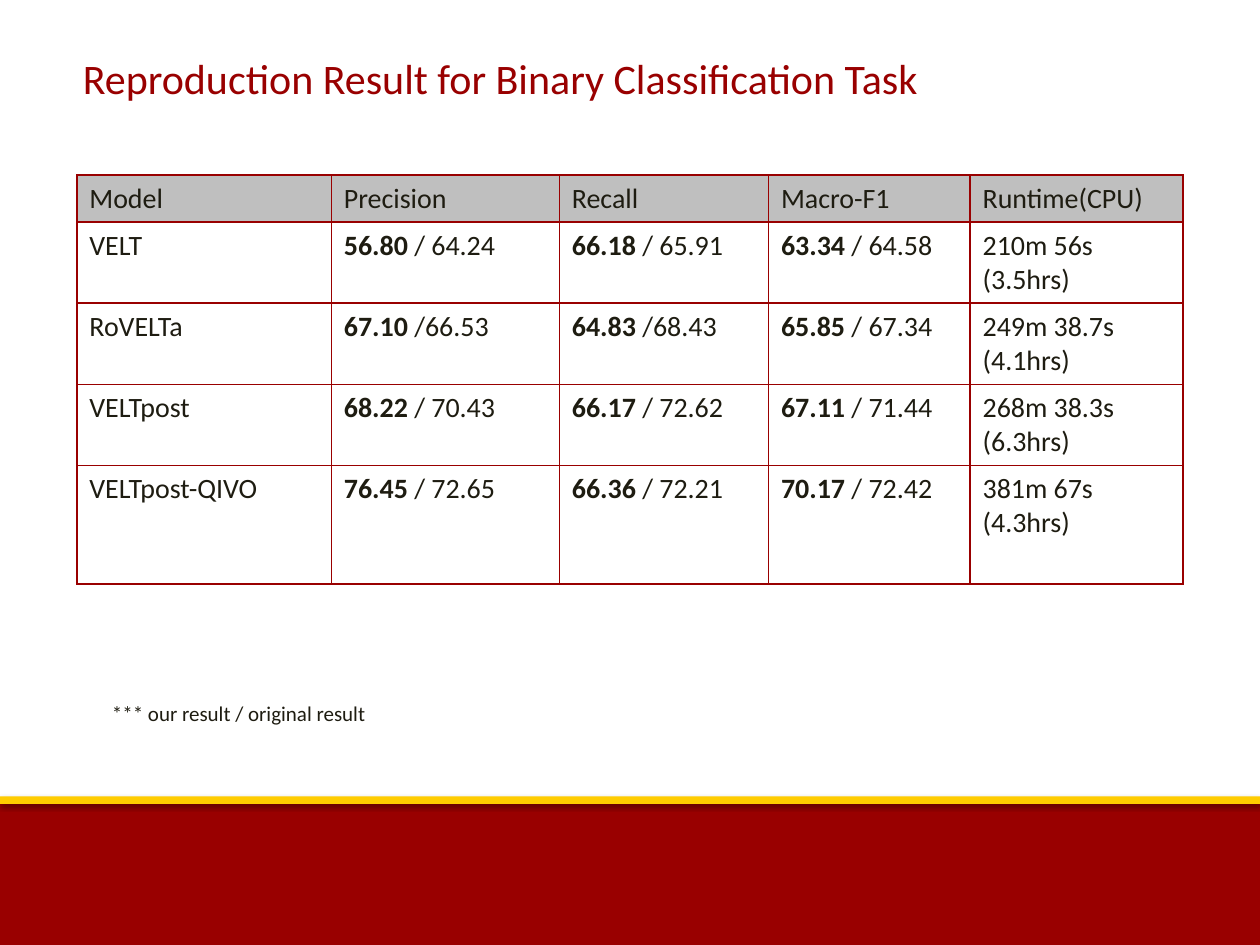
import pptx
import pptx.dml.color
import pptx.enum.shapes
import pptx.enum.text
import pptx.oxml
import pptx.oxml.ns
import pptx.util

TITLE = "Reproduction Result for Binary Classification Task"
NOTE = "*** our result / original result"
HEADER = ["Model", "Precision", "Recall", "Macro-F1", "Runtime(CPU)"]
# Each score is (our result, original result); our result is bold.
ROWS = [
    ["VELT", ("56.80", " / 64.24"), ("66.18", " / 65.91"), ("63.34", " / 64.58"), "210m 56s (3.5hrs)"],
    ["RoVELTa", ("67.10", " /66.53"), ("64.83", " /68.43"), ("65.85", " / 67.34"), "249m 38.7s (4.1hrs)"],
    ["VELTpost", ("68.22", " / 70.43"), ("66.17", " / 72.62"), ("67.11", " / 71.44"), "268m 38.3s (6.3hrs)"],
    ["VELTpost-QIVO", ("76.45", " / 72.65"), ("66.36", " / 72.21"), ("70.17", " / 72.42"), "381m 67s (4.3hrs)"],
]
COL_WIDTHS = [2.02, 1.81, 1.66, 1.6, 1.69]
ROW_HEIGHTS = [0.37, 0.64, 0.64, 0.64, 0.94]
TABLE_LEFT, TABLE_TOP = 0.61, 1.39
SLIDE_W, SLIDE_H = 10, 7.5
FOOTER_TOP, STRIPE_TOP, STRIPE_H = 6.35, 6.32, 0.06

THEME = {
    "font": "Calibri", "title": 24, "body": 16, "note": 12,
    "red": "990000", "gold": "FFCC00", "ink": "1E1C11", "header": "BFBFBF",
}

inch = pptx.util.Inches
NS = pptx.oxml.ns.nsdecls("a")


def color(name):
    return pptx.dml.color.RGBColor.from_string(THEME[name])


def write(tf, parts, size, ink="ink"):
    """Fill the first paragraph with (text, bold) parts."""
    p = tf.paragraphs[0]
    for text, bold in parts:
        r = p.add_run()
        r.text = text
        r.font.name = THEME["font"]
        r.font.size = pptx.util.Pt(THEME[size])
        r.font.bold = bold
        r.font.color.rgb = color(ink)


def add_text(s, box, text, size, ink="ink"):
    tf = s.shapes.add_textbox(*map(inch, box)).text_frame
    tf.word_wrap = True
    tf.auto_size = pptx.enum.text.MSO_AUTO_SIZE.SHAPE_TO_FIT_TEXT
    write(tf, [(text, False)], size, ink)


def add_bar(s, top, height, fill, opacity, distance):
    """Full-width band with a soft shadow below it."""
    sp = s.shapes.add_shape(pptx.enum.shapes.MSO_SHAPE.RECTANGLE,
                            0, inch(top), inch(SLIDE_W), inch(height))
    sp.fill.solid()
    sp.fill.fore_color.rgb = color(fill)
    sp.line.fill.background()
    sp.shadow.inherit = False
    effects = sp._element.spPr.find(pptx.oxml.ns.qn("a:effectLst"))
    effects.append(pptx.oxml.parse_xml(
        f'<a:outerShdw {NS} blurRad="{pptx.util.Pt(3.1)}" dist="{pptx.util.Pt(distance)}" '
        f'dir="5400000" rotWithShape="0"><a:srgbClr val="000000">'
        f'<a:alpha val="{opacity * 1000}"/></a:srgbClr></a:outerShdw>'))


def add_borders(cell):
    tc_pr = cell._tc.get_or_add_tcPr()
    for side in "LRTB":
        tc_pr.append(pptx.oxml.parse_xml(
            f'<a:ln{side} {NS} w="{pptx.util.Pt(1)}"><a:solidFill>'
            f'<a:srgbClr val="{THEME["red"]}"/></a:solidFill></a:ln{side}>'))


def add_results(s):
    data = [HEADER] + ROWS
    table = s.shapes.add_table(
        len(data), len(HEADER), inch(TABLE_LEFT), inch(TABLE_TOP),
        inch(sum(COL_WIDTHS)), inch(sum(ROW_HEIGHTS))).table
    table.first_row = table.horz_banding = False
    for col, width in zip(table.columns, COL_WIDTHS):
        col.width = inch(width)
    for i, (row, height) in enumerate(zip(data, ROW_HEIGHTS)):
        table.rows[i].height = inch(height)
        for j, value in enumerate(row):
            cell = table.cell(i, j)
            add_borders(cell)
            if i == 0:
                cell.fill.solid()
                cell.fill.fore_color.rgb = color("header")
            else:
                cell.fill.background()
            if isinstance(value, tuple):
                parts = list(zip(value, (True, False)))
            else:
                parts = [(value, False)]
            write(cell.text_frame, parts, "body")


def main():
    prs = pptx.Presentation()
    prs.slide_width, prs.slide_height = inch(SLIDE_W), inch(SLIDE_H)
    s = prs.slides.add_slide(prs.slide_layouts[6])
    add_bar(s, FOOTER_TOP, SLIDE_H - FOOTER_TOP, "red", 35, 1.8)
    add_bar(s, STRIPE_TOP, STRIPE_H, "gold", 38, 1.6)
    add_results(s)
    add_text(s, (0.56, 0.37, 7.66, 0.5), TITLE, "title", "red")
    add_text(s, (0.79, 5.51, 7.83, 0.3), NOTE, "note")
    prs.save("out.pptx")


if __name__ == "__main__":
    main()
